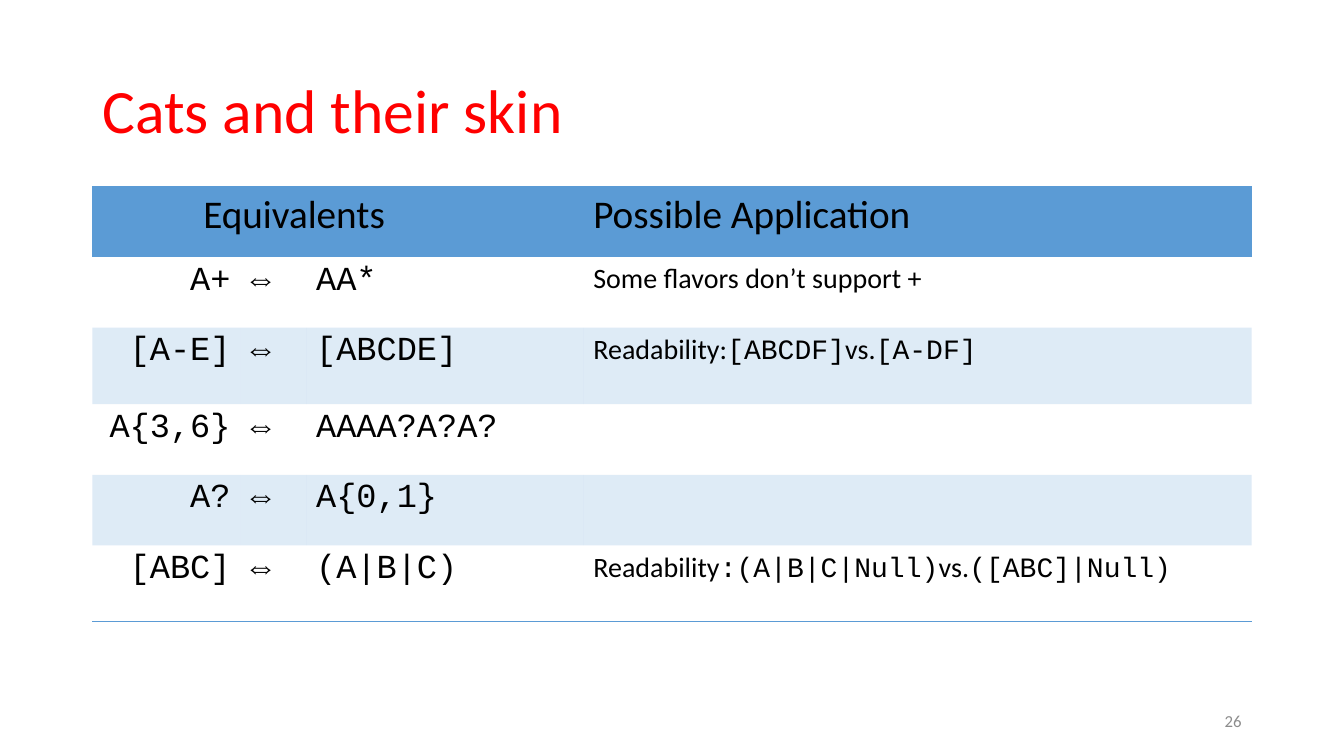
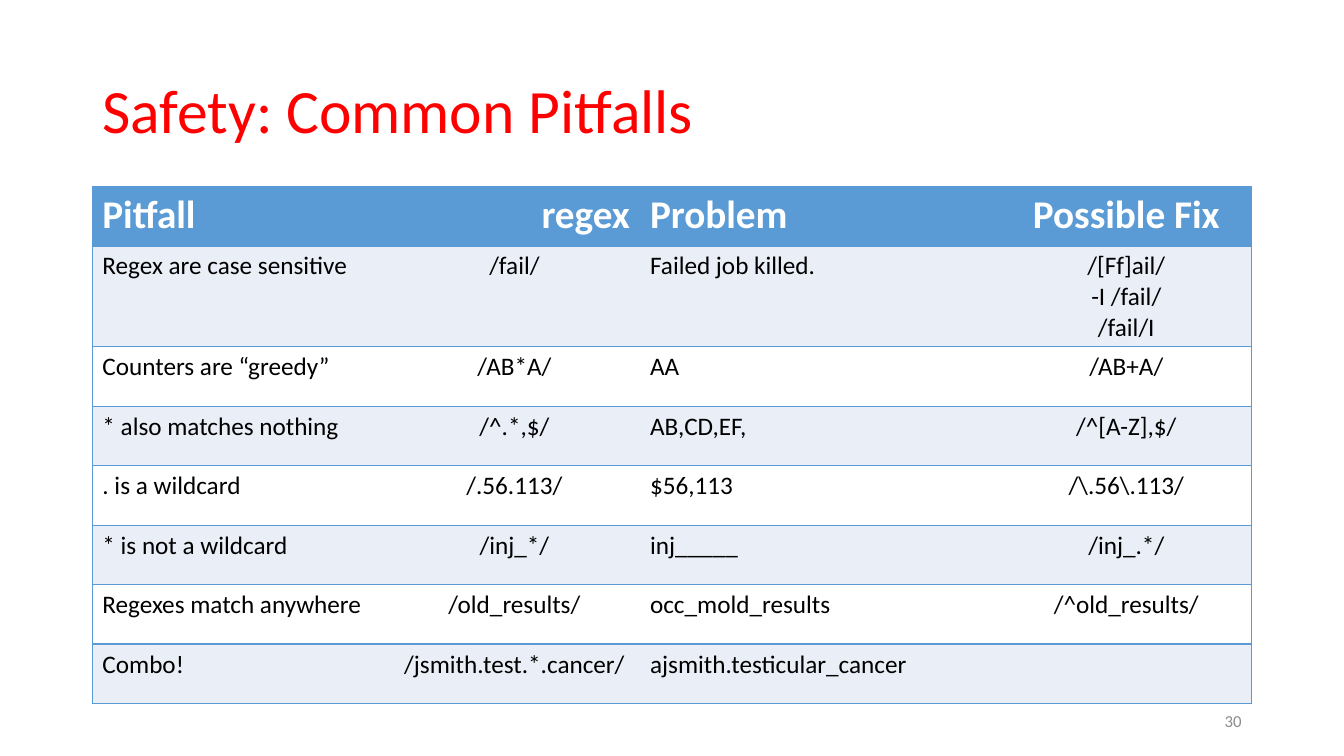
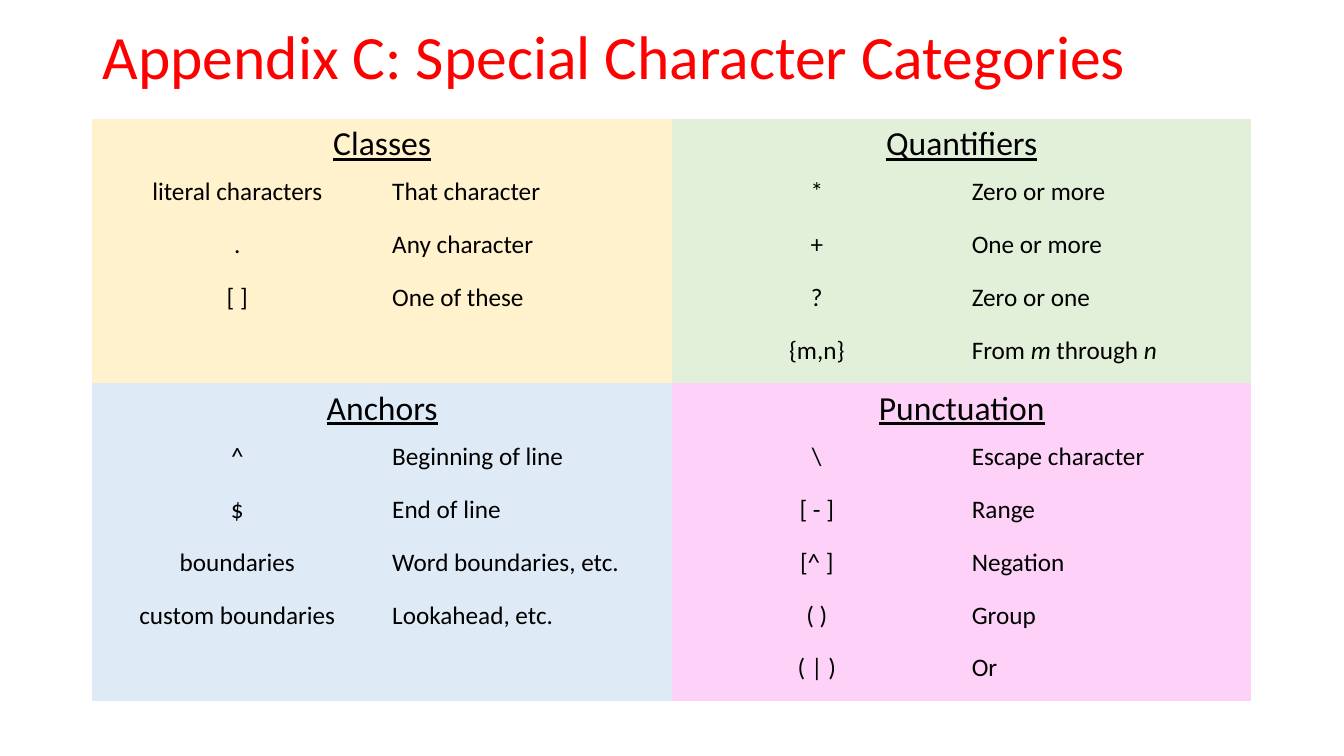
from dataclasses import dataclass
from typing import NamedTuple

import pptx
import pptx.dml.color
import pptx.enum.text
import pptx.oxml
import pptx.oxml.ns
import pptx.util

COLUMN = pptx.util.Inches(1) / 12
ROW = pptx.util.Inches(1) / 20
PAGE_COLUMNS, PAGE_ROWS = 160, 150
MARGIN, CONTENT = 11, 138

SANS, MONO = "Calibri", "Courier New"
RED, BLACK, WHITE, GRAY = "FF0000", "000000", "FFFFFF", "8C8C8C"
BLUE, PALE_BLUE = "5B9BD5", "EAEFF7"
YELLOW, GREEN, SKY, PINK = "FFF2CC", "E2F0D9", "DEEBF7", "FED2F8"
PLAIN_TABLE = "{2D5ABB26-0587-4C30-8999-92F81FD0307C}"

LEFT = pptx.enum.text.PP_ALIGN.LEFT
CENTER = pptx.enum.text.PP_ALIGN.CENTER
RIGHT = pptx.enum.text.PP_ALIGN.RIGHT
MIDDLE = pptx.enum.text.MSO_ANCHOR.MIDDLE


class Box(NamedTuple):
    column: float
    row: float
    columns: float
    rows: float


class Span(NamedTuple):
    text: str
    font: str = SANS
    italic: bool = False


@dataclass(frozen=True)
class Style:
    size: float
    color: str = BLACK
    font: str = SANS
    align: pptx.enum.text.PP_ALIGN = LEFT
    bold: bool = False
    underline: bool = False


@dataclass(frozen=True)
class Grid:
    box: Box
    columns: list[float]
    rows: list[float]


Content = str | list[Span]


def across(columns: float) -> int:
    return round(columns * COLUMN)


def down(rows: float) -> int:
    return round(rows * ROW)


def place(box: Box) -> tuple[int, int, int, int]:
    return across(box.column), down(box.row), across(box.columns), down(box.rows)


def rgb(color: str) -> pptx.dml.color.RGBColor:
    return pptx.dml.color.RGBColor.from_string(color)


def write(frame, content: Content, style: Style) -> None:
    if isinstance(content, str):
        frame.text = content
    else:
        for span in content:
            run = frame.paragraphs[0].add_run()
            run.text = span.text
            run.font.name = span.font
            run.font.italic = span.italic
    for para in frame.paragraphs:
        para.alignment = style.align
        para.font.size = pptx.util.Pt(style.size)
        para.font.color.rgb = rgb(style.color)
        para.font.bold = style.bold
        para.font.underline = style.underline
        if isinstance(content, str):
            para.font.name = style.font


def add_page(deck, title: str, title_box: Box, number: str = ""):
    page = deck.slides.add_slide(deck.slide_layouts[5])
    heading = page.shapes.title
    heading.left, heading.top, heading.width, heading.height = place(title_box)
    frame = heading.text_frame
    frame.vertical_anchor = MIDDLE
    frame.auto_size = pptx.enum.text.MSO_AUTO_SIZE.NONE
    write(frame, title, Style(44, RED))
    frame.paragraphs[0].line_spacing = 0.9
    if number:
        footer = page.shapes.add_textbox(*place(Box(113, 139, 36, 8))).text_frame
        footer.word_wrap = True
        footer.vertical_anchor = MIDDLE
        write(footer, number, Style(12, GRAY, align=RIGHT))
    return page


def add_grid(page, grid: Grid):
    shape = page.shapes.add_table(len(grid.rows), len(grid.columns), *place(grid.box))
    table = shape.table
    table.first_row = table.horz_banding = False
    table._tbl.tblPr.find(pptx.oxml.ns.qn("a:tableStyleId")).text = PLAIN_TABLE
    for column, width in zip(table.columns, grid.columns):
        column.width = across(width)
    for row, height in zip(table.rows, grid.rows):
        row.height = down(height)
    shape.height = down(grid.box.rows)
    return table


def paint(cell, color: str, alpha: int = 100) -> None:
    cell.fill.solid()
    cell.fill.fore_color.rgb = rgb(color)
    if alpha < 100:
        tint = cell._tc.tcPr.find(".//" + pptx.oxml.ns.qn("a:srgbClr"))
        tint.append(pptx.oxml.parse_xml(
            f'<a:alpha {pptx.oxml.ns.nsdecls("a")} val="{alpha * 1000}"/>'))


def rule(cell, sides: str) -> None:
    for side in sides:
        cell._tc.get_or_add_tcPr().append(pptx.oxml.parse_xml(
            f'<a:ln{side} {pptx.oxml.ns.nsdecls("a")} w="12700"><a:solidFill>'
            f'<a:srgbClr val="{BLUE}"/></a:solidFill></a:ln{side}>'))


def build_equivalents(deck) -> None:
    page = add_page(deck, "Cats and their skin", Box(MARGIN, 8, CONTENT, 29), "26")
    table = add_grid(page, Grid(Box(MARGIN, 37, CONTENT, 86.4),
                                [17.64, 7.8, 33, 79.56], [14, 14, 15.2] * 2))
    pairs: list[tuple[str, str, Content]] = [
        ("A+", "AA*", "Some flavors don’t support +"),
        ("[A-E]", "[ABCDE]", [Span("Readability:"), Span("[ABCDF]", MONO),
                              Span("vs."), Span("[A-DF]", MONO)]),
        ("A{3,6}", "AAAA?A?A?", ""),
        ("A?", "A{0,1}", ""),
        ("[ABC]", "(A|B|C)", [Span("Readability"), Span(":(A|B|C|Null)", MONO),
                              Span("vs."), Span("([ABC]|Null)", MONO)]),
    ]
    code = Style(24, font=MONO)
    styles = [Style(24, font=MONO, align=RIGHT), code, code, Style(20)]
    table.cell(0, 0).merge(table.cell(0, 2))
    for column, label in ((0, "Equivalents"), (3, "Possible Application")):
        write(table.cell(0, column).text_frame, label, Style(28))
    header = table.cell(0, 0).text_frame.paragraphs[0]
    header.level = 2
    header._p.get_or_add_pPr().set("marL", str(across(12)))
    header._p.get_or_add_pPr().set("indent", "0")
    for row, (short, long, use) in enumerate(pairs, 1):
        for column, content in enumerate((short, "⇔", long, use)):
            write(table.cell(row, column).text_frame, content, styles[column])
    for row in range(6):
        for column in range(4):
            cell = table.cell(row, column)
            rule(cell, {0: "T", 5: "B"}.get(row, ""))
            if row % 2 == 0:
                paint(cell, BLUE, 20)


def build_pitfalls(deck) -> None:
    page = add_page(deck, "Safety: Common Pitfalls", Box(MARGIN, 8, CONTENT, 29), "30")
    table = add_grid(page, Grid(Box(MARGIN, 37, CONTENT, 105),
                                [35.3, 29.9, 43, 29.8], [11.8] * 8))
    pitfalls = [
        ("Pitfall", "regex", "Problem", "Possible Fix"),
        ("Regex are case sensitive", "/fail/", "Failed job killed. ",
         "/[Ff]ail/\n-I /fail/\n/fail/I"),
        ("Counters are “greedy”", "/AB*A/", "AA", "/AB+A/"),
        ("* also matches nothing", "/^.*,$/", "AB,CD,EF,", "/^[A-Z],$/"),
        (". is a wildcard", "/.56.113/", "$56,113", r"/\.56\.113/"),
        ("* is not a wildcard", "/inj_*/", "inj_____", "/inj_.*/"),
        ("Regexes match anywhere", "/old_results/", "occ_mold_results", "/^old_results/"),
        ("Combo!", "/jsmith.test.*.cancer/", "ajsmith.testicular_cancer", ""),
    ]
    header_aligns = (LEFT, RIGHT, LEFT, CENTER)
    body_aligns = (LEFT, CENTER, LEFT, CENTER)
    for row, texts in enumerate(pitfalls):
        for column, text in enumerate(texts):
            cell = table.cell(row, column)
            if row == 0:
                style = Style(28, WHITE, align=header_aligns[column], bold=True)
                fill = BLUE
            else:
                style = Style(18, align=body_aligns[column])
                fill = PALE_BLUE if row % 2 else WHITE
            write(cell.text_frame, text, style)
            rule(cell, {0: "L", 3: "R"}.get(column, "") + "TB")
            paint(cell, fill)


@dataclass(frozen=True)
class Category:
    name: str
    color: str
    row: int
    column: int
    rows: int
    entries: list[tuple[str, Content]]


CATEGORIES = [
    Category("Classes", YELLOW, 0, 0, 5, [
        ("literal characters", "That character"),
        (".", "Any character"),
        ("[ ]", "One of these")]),
    Category("Quantifiers", GREEN, 0, 2, 5, [
        ("*", "Zero or more"),
        ("+", "One or more"),
        ("?", "Zero or one"),
        ("{m,n}", [Span("From "), Span("m", italic=True),
                   Span(" through "), Span("n", italic=True)])]),
    Category("Anchors", SKY, 5, 0, 6, [
        ("^", "Beginning of line"),
        ("$", "End of line"),
        ("boundaries", "Word boundaries, etc."),
        ("custom boundaries", "Lookahead, etc.")]),
    Category("Punctuation", PINK, 5, 2, 6, [
        ("\\", "Escape character"),
        ("[ - ]", "Range"),
        ("[^ ]", "Negation"),
        ("( )", "Group"),
        ("( | )", "Or")]),
]


def build_categories(deck) -> None:
    page = add_page(deck, "Appendix C: Special Character Categories",
                    Box(MARGIN, 0, CONTENT, 23.6))
    table = add_grid(page, Grid(Box(MARGIN, 23.6, CONTENT, 115.5),
                                [CONTENT / 4] * 4, [10.5] * 11))
    for category in CATEGORIES:
        top, left = category.row, category.column
        heading = table.cell(top, left)
        heading.merge(table.cell(top, left + 1))
        write(heading.text_frame, category.name, Style(24, align=CENTER, underline=True))
        for row, (symbol, meaning) in enumerate(category.entries, top + 1):
            write(table.cell(row, left).text_frame, symbol, Style(18, align=CENTER))
            write(table.cell(row, left + 1).text_frame, meaning, Style(18))
        for row in range(top, top + category.rows):
            for column in (left, left + 1):
                paint(table.cell(row, column), category.color)


def main() -> None:
    deck = pptx.Presentation()
    deck.slide_width, deck.slide_height = across(PAGE_COLUMNS), down(PAGE_ROWS)
    build_equivalents(deck)
    build_pitfalls(deck)
    build_categories(deck)
    deck.save("out.pptx")


main()
